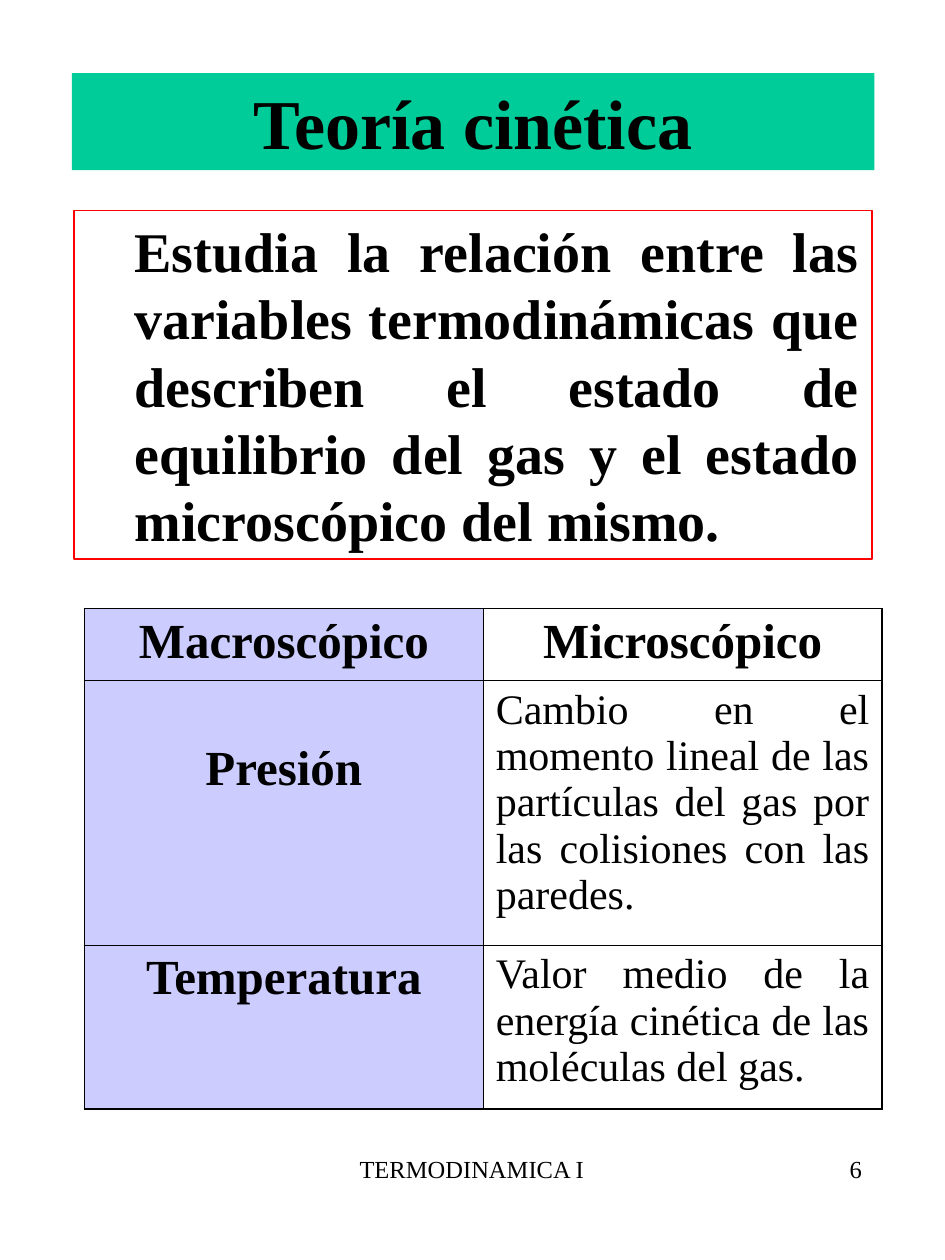
from lxml import etree
from pptx import Presentation
from pptx import util as u
from pptx.dml.color import RGBColor
from pptx.enum import shapes, text
from pptx.oxml.ns import qn

HUE = {"ink": "000000", "green": "00CC99", "red": "FF0000", "lilac": "CCCCFF"}
MID, RIGHT, JUST = (text.PP_ALIGN.CENTER, text.PP_ALIGN.RIGHT,
                    text.PP_ALIGN.JUSTIFY)
HEAD = {"size": 28, "bold": True, "align": MID}
BODY = {"size": 24, "bold": False, "align": JUST}
FOOT = {"size": 14, "bold": False}

TITLE = "Teoría cinética"
INTRO = ("Estudia la relación entre las variables termodinámicas que describen "
         "el estado de equilibrio del gas y el estado microscópico del mismo.")
ROWS = [
    (0.57, 0.05, ("Macroscópico", HEAD), ("Microscópico", HEAD)),
    (2.1, 0.49, ("Presión", HEAD),
     ("Cambio en el momento lineal de las partículas del gas por las "
      "colisiones con las paredes.", BODY)),
    (1.3, 0.05, ("Temperatura", HEAD),
     ("Valor medio de la energía cinética de las moléculas del gas.", BODY)),
]
FEET = [("TERMODINAMICA I", 2.56, 2.37, MID), ("6", 5.38, 1.56, RIGHT)]
TABLE = (0.67, 4.83, 6.33, 3.97)
THICK, THIN = 1.08, 0.45


def rgb(name):
    return RGBColor.from_string(HUE[name])


def write(frame, words, size, bold, align):
    para = frame.paragraphs[0]
    para.alignment = align
    run = para.add_run()
    run.text = words
    look = {"name": "Times New Roman", "size": u.Pt(size), "bold": bold}
    for key, val in look.items():
        setattr(run.font, key, val)
    run.font.color.rgb = rgb("ink")
    return para


def pad(item, side, top):
    sides = {"left": side, "right": side, "top": top, "bottom": 0.05}
    for key, val in sides.items():
        setattr(item, "margin_" + key, u.Inches(val))


def box(slide, spot, fill=None, line=None, side=0.1, anchor="TOP"):
    shape = slide.shapes.add_shape(shapes.MSO_SHAPE.RECTANGLE,
                                   *map(u.Inches, spot))
    shape.shadow.inherit = False
    if fill:
        shape.fill.solid()
        shape.fill.fore_color.rgb = rgb(fill)
    else:
        shape.fill.background()
    if line:
        shape.line.color.rgb = rgb(line)
        shape.line.width = u.Pt(1)
    else:
        shape.line.fill.background()
    frame = shape.text_frame
    frame.word_wrap = True
    frame.vertical_anchor = getattr(text.MSO_ANCHOR, anchor)
    pad(frame, side, 0.05)
    return frame


def edge(cell, widths):
    props = cell._tc.get_or_add_tcPr()
    for pos, (side, width) in enumerate(widths.items()):
        line = etree.Element(qn("a:ln" + side), w=str(u.Pt(width)))
        fill = etree.SubElement(line, qn("a:solidFill"))
        etree.SubElement(fill, qn("a:srgbClr"), val=HUE["ink"])
        props.insert(pos, line)


def grid(slide):
    table = slide.shapes.add_table(len(ROWS), 2, *map(u.Inches, TABLE)).table
    for col in table.columns:
        col.width = u.Inches(TABLE[2] / 2)
    last = len(ROWS) - 1
    for r, (high, top, *pair) in enumerate(ROWS):
        table.rows[r].height = u.Inches(high)
        for c, (words, look) in enumerate(pair):
            cell = table.cell(r, c)
            pad(cell, 0.1, top if c == 0 else 0.05)
            write(cell.text_frame, words, **look)
            if c == 0:
                cell.fill.solid()
                cell.fill.fore_color.rgb = rgb("lilac")
            else:
                cell.fill.background()
            outer = {"L": c == 0, "R": c == 1, "T": r == 0, "B": r == last}
            edge(cell, {k: THICK if v else THIN for k, v in outer.items()})


def main():
    deck = Presentation()
    deck.slide_width, deck.slide_height = u.Inches(7.5), u.Inches(10)
    slide = deck.slides.add_slide(deck.slide_layouts[6])

    frame = box(slide, (0.57, 0.58, 6.37, 0.77), fill="green", side=0.05,
                anchor="MIDDLE")
    write(frame, TITLE, 40, True, MID)
    frame = box(slide, (0.59, 1.67, 6.33, 2.77), line="red")
    para = write(frame, INTRO, 32, True, JUST)
    para._p.get_or_add_pPr().set("marL", str(u.Inches(0.38)))

    grid(slide)
    for words, left, wide, align in FEET:
        spot = map(u.Inches, (left, 9.11, wide, 0.67))
        frame = slide.shapes.add_textbox(*spot).text_frame
        frame.word_wrap = True
        pad(frame, 0.1, 0.05)
        write(frame, words, align=align, **FOOT)
    deck.save("out.pptx")


if __name__ == "__main__":
    main()
